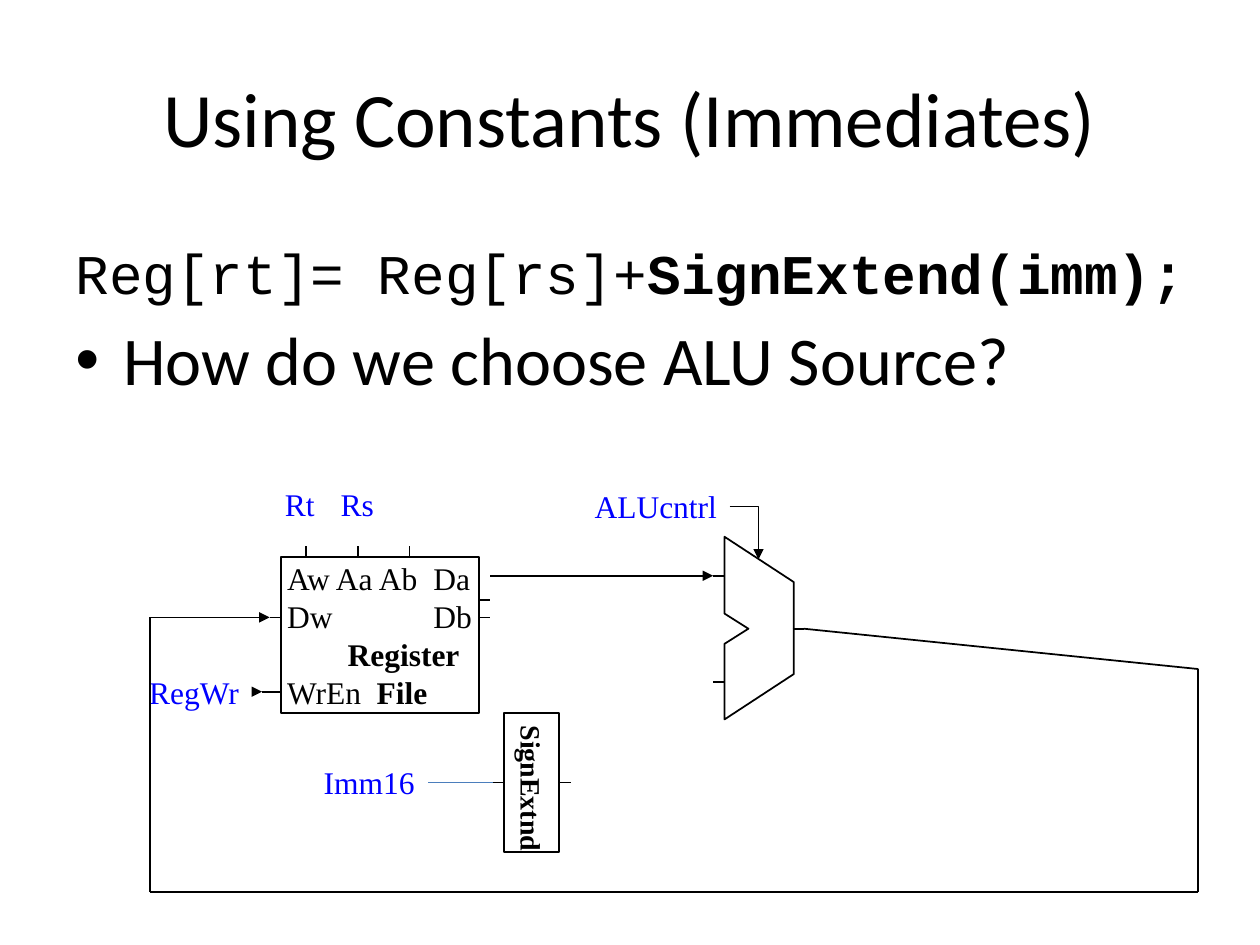
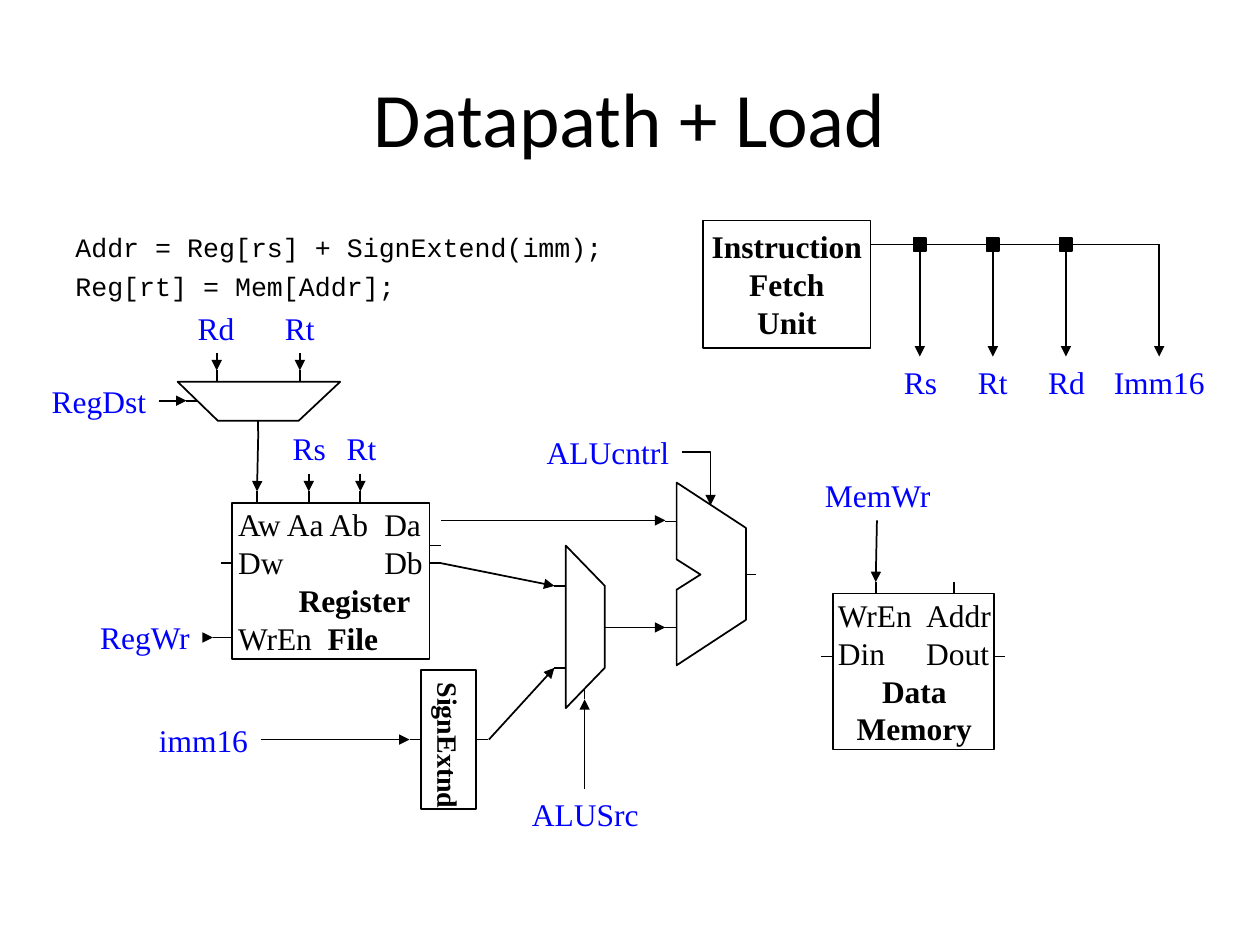
from lxml import etree
from pptx import Presentation
from pptx import util as u
from pptx.dml.color import RGBColor
from pptx.enum import shapes, text
from pptx.oxml.ns import qn

PX = 9144  # EMU in one px, at 100 px to the inch
INK = {"black": "000000", "white": "FFFFFF", "label": "0000FF", "wire": "4B7EBC"}
HEAD, CODE, SERIF = "Calibri", "Courier New", "Times New Roman"
WIDE = {"Rs": 47, "Rt": 44, "Rd": 49, "Imm16": 92, "imm16": 91, "RegWr": 92,
        "RegDst": 95, "MemWr": 105, "ALUSrc": 105, "ALUcntrl": 117}
TOP, LEFT, BOTTOM, RIGHT = range(4)
ALIGN = text.PP_ALIGN


def rgb(name):
    return RGBColor.from_string(INK[name])


def sub(node, tag, **keys):
    return etree.SubElement(node, qn(tag), **keys)


class Deck:
    def __init__(self):
        self.prs = Presentation()
        self.prs.slide_width = 1000 * PX
        self.prs.slide_height = 750 * PX

    def page(self, title):
        slide = self.prs.slides.add_slide(self.prs.slide_layouts[5])
        self.items = slide.shapes
        head = self.items.title
        head.left, head.top, head.width, head.height = self.emu(50, 30, 900, 125)
        self.fill(head.text_frame, [title], HEAD, 44)

    def emu(self, *sizes):
        return [n * PX for n in sizes]

    def fill(self, frame, rows, face=SERIF, size=18, ink="black", align=ALIGN.CENTER):
        """Write one paragraph per row; the part after a bar is bold."""
        for i, row in enumerate(rows):
            para = frame.paragraphs[0] if i == 0 else frame.add_paragraph()
            para.alignment = align
            for k, part in enumerate(row.split("|")):
                if part:
                    run = para.add_run()
                    run.text = part
                    font = run.font
                    font.name, font.size, font.bold = face, u.Pt(size), k == 1
                    font.color.rgb = rgb(ink)
        return frame.paragraphs

    def paint(self, shape, fill="white"):
        shape.shadow.inherit = False
        shape.fill.solid()
        shape.fill.fore_color.rgb = rgb(fill)
        shape.line.color.rgb = rgb("black")
        shape.line.width = u.Pt(1)
        return shape

    def label(self, name, mid, top):
        wide = WIDE[name]
        box = self.items.add_textbox(*self.emu(mid - wide // 2, top, wide, 40))
        box.text_frame.word_wrap = False
        self.fill(box.text_frame, [name], ink="label")

    def body(self, rows, wide, high, inset, size):
        box = self.items.add_textbox(*self.emu(50, 175, wide, high))
        box.text_frame.word_wrap = True
        box.text_frame.margin_top = inset * PX
        return self.fill(box.text_frame, rows, CODE, size, align=ALIGN.LEFT)

    def rect(self, x, y, w, h, fill="white"):
        kind = shapes.MSO_SHAPE.RECTANGLE
        return self.paint(self.items.add_shape(kind, *self.emu(x, y, w, h)), fill)

    def block(self, x, y, w, h, rows, **style):
        box = self.rect(x, y, w, h)
        frame = box.text_frame
        frame.word_wrap = False
        frame.vertical_anchor = text.MSO_ANCHOR.MIDDLE
        paras = self.fill(frame, rows, **style)
        for para in paras:
            para.line_spacing = u.Pt(style.get("size", 18) * 1.2)
        return box, paras

    def tab(self, para, stop):
        """Align left, with one tab stop."""
        para.alignment = ALIGN.LEFT
        tabs = sub(para._p.get_or_add_pPr(), "a:tabLst")
        sub(tabs, "a:tab", pos=str(stop * PX), algn="l")

    def poly(self, x, y, points):
        spots = [(x + dx, y + dy) for dx, dy in points]
        form = self.items.build_freeform(*spots[0], scale=PX)
        form.add_line_segments(spots[1:], close=True)
        self.paint(form.convert_to_shape())

    def line(self, a, b, arrow=False, ink="black", width=1, bent=False):
        """Join two ends, each an (x, y) point or a (shape, side) pair."""
        kinds = shapes.MSO_CONNECTOR
        ends = [(0, 0) if hasattr(end[0], "shape_id") else end for end in (a, b)]
        wire = self.items.add_connector(kinds.ELBOW if bent else kinds.STRAIGHT,
                                        *self.emu(*ends[0], *ends[1]))
        if hasattr(a[0], "shape_id"):
            wire.begin_connect(*a)
        if hasattr(b[0], "shape_id"):
            wire.end_connect(*b)
        wire.line.color.rgb = rgb(ink)
        wire.line.width = u.Pt(width)
        props = wire._element.spPr
        if bent:
            props.find(qn("a:prstGeom")).set("prst", "bentConnector2")
        if arrow:
            sub(props.find(qn("a:ln")), "a:tailEnd", type="triangle")
        sub(props, "a:effectLst")

    def pins(self, x, y, stubs):
        """Draw short port lines, each x, y, dx, dy from a part's corner."""
        for px, py, dx, dy in stubs:
            self.line((x + px, y + py), (x + px + dx, y + py + dy))

    def alu(self, x, y):
        self.poly(x, y, [(0, 0), (55, 36), (55, 109), (0, 145),
                         (0, 85), (19, 73), (0, 61)])
        self.pins(x, y, [(54, 73, 9, 0), (-9, 31, 9, 0), (-9, 115, 9, 0)])
        self.label("ALUcntrl", x - 55, y - 44)
        self.line((x + 4, y - 24), (x + 27, y + 18), True, bent=True)

    def regs(self, x, y):
        """Draw the register file with its ports and write enable."""
        box, rows = self.block(x, y, 157, 124, [
            "Aw Aa Ab\tDa", "Dw\tDb", "|Register", "WrEn\t|File"], align=ALIGN.LEFT)
        box.text_frame.margin_left = 5 * PX
        for row, stop in ((0, 116), (1, 116), (3, 71)):
            self.tab(rows[row], stop)
        rows[2]._p.get_or_add_pPr().set("marL", str(48 * PX))
        self.pins(x, y, [(at, 0, 0, -9) for at in (20, 61, 102)])
        self.pins(x, y, [(-9, 48, 9, 0), (157, 48, 9, 0), (157, 34, 9, 0),
                         (-15, 107, 15, 0)])
        self.label("RegWr", x - 69, y + 87)
        self.line((x - 22, y + 107), (x - 15, y + 107), True)

    def sign(self, x, y):
        box, _ = self.block(x, y, 44, 110, ["|SignExtnd"], size=16)
        box.text_frame._txBody.bodyPr.set("vert", "eaVert")
        self.line((x - 9, y + 55), (box, LEFT))
        self.line((box, RIGHT), (x + 53, y + 55))

    def memory(self, x, y):
        box, rows = self.block(x, y, 128, 124,
                               ["WrEn\tAddr", "Din\tDout", "|Data", "|Memory"])
        box.text_frame.margin_left = box.text_frame.margin_right = 4 * PX
        for row in rows[:2]:
            self.tab(row, 70)
        self.pins(x, y, [(128, 50, 9, 0), (-9, 50, 9, 0),
                         (34, 0, 0, -9), (96, 0, 0, -9)])

    def fetch(self, x, y):
        """Draw the fetch unit and the bus that splits into fields."""
        self.block(x, y, 133, 101, ["|Instruction", "|Fetch", "|Unit"])
        bus, low = y + 19, y + 108
        last = (x + 133, bus)
        for i, name in enumerate(("Rs", "Rt", "Rd")):
            mid = x + 172 + 58 * i
            dot = self.rect(mid - 5, bus - 5, 10, 10, "black")
            self.line(last, (dot, LEFT))
            self.line((dot, BOTTOM), (mid, low), True)
            self.label(name, mid, low)
            last = (dot, RIGHT)
        end = x + 362
        self.line(last, (end, bus))
        self.line((end, bus), (end, low), True)
        self.label("Imm16", end, low)


def consts(deck):
    deck.page("Using Constants (Immediates)")
    rows = deck.body(["Reg[rt]= Reg[rs]+|SignExtend(imm);",
                      "How do we choose ALU Source?"], 925, 192, 14, 32)
    ask = rows[1]
    props = ask._p.get_or_add_pPr()
    props.set("marL", str(38 * PX))
    props.set("indent", str(-38 * PX))
    sub(props, "a:buFont", typeface="Arial")
    sub(props, "a:buChar", char="•")
    ask.space_before = u.Pt(7)
    ask.runs[0].font.name, ask.runs[0].font.size = HEAD, u.Pt(39)

    deck.alu(575, 426)
    deck.regs(223, 442)
    deck.sign(400, 566)
    for name, mid, top in (("Rt", 238, 380), ("Rs", 283, 380), ("Imm16", 293, 601)):
        deck.label(name, mid, top)
    deck.line((391, 621), (340, 621), ink="wire", width=0.75)
    loop = [(638, 499), (951, 531), (951, 708), (119, 708), (119, 490), (214, 490)]
    for a, b in zip(loop, loop[1:]):
        deck.line(a, b, arrow=b == loop[-1])
    deck.line((389, 457), (566, 457), True)


def load(deck):
    deck.page("Datapath + Load")
    rows = deck.body(["Addr = Reg[rs] + SignExtend(imm);",
                      "Reg[rt] = Mem[Addr];"], 467, 58, 8, 15.2)
    rows[1].space_before = u.Pt(4)

    deck.alu(537, 383)
    deck.poly(449, 433, [(0, 129), (31, 97), (31, 32), (0, 0)])
    deck.pins(449, 433, [(31, 65, 9, 0), (-9, 32, 9, 0), (-9, 97, 9, 0),
                         (15, 122, 0, -9)])
    deck.poly(141, 303, [(0, 0), (32, 31), (96, 31), (129, 0)])
    deck.pins(141, 303, [(64, 31, 0, 8), (97, -9, 0, 9), (31, -9, 0, 9),
                         (7, 15, 9, 0)])
    deck.sign(334, 532)
    deck.memory(661, 471)
    deck.regs(184, 399)
    deck.fetch(558, 175)
    for name, mid, top in (("Rd", 171, 240), ("Rt", 238, 240), ("RegDst", 78, 298),
                           ("Rs", 245, 336), ("Rt", 287, 336), ("imm16", 161, 567),
                           ("ALUSrc", 464, 626), ("MemWr", 696, 373)):
        deck.label(name, mid, top)
    for a, b in (((388, 587), (440, 530)), ((489, 498), (528, 498)),
                 ((207, 587), (325, 587)), ((350, 447), (440, 465)),
                 ((245, 376), (245, 390)), ((286, 376), (286, 390)),
                 ((350, 413), (528, 413)), ((464, 626), (464, 555)),
                 ((696, 413), (695, 462)), ((205, 342), (204, 390)),
                 ((126, 318), (148, 318)), ((172, 280), (172, 294)),
                 ((238, 280), (238, 294))):
        deck.line(a, b, True)


def main():
    deck = Deck()
    consts(deck)
    load(deck)
    deck.prs.save("out.pptx")


if __name__ == "__main__":
    main()
